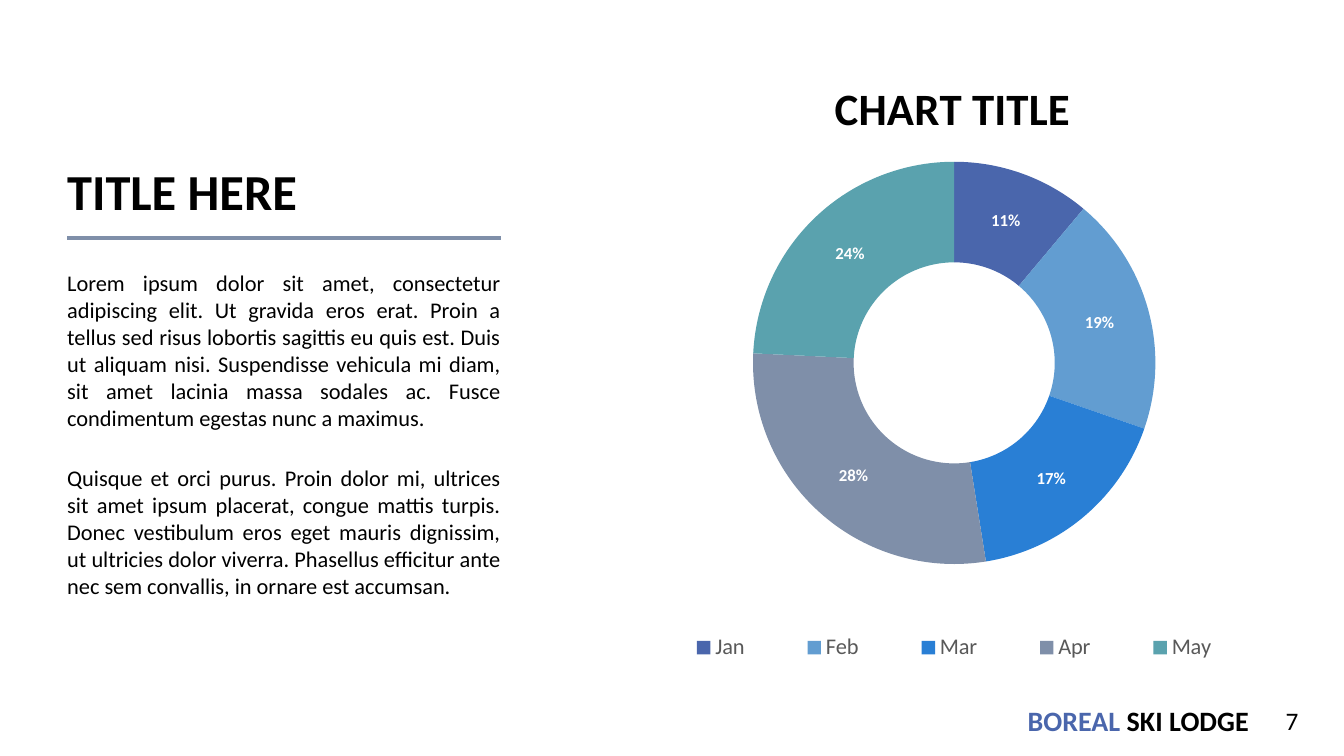
"""Build a slide with a heading, two paragraphs and a doughnut chart of months."""
from dataclasses import dataclass
from typing import Any

from lxml import etree
from pptx import Presentation
from pptx import util as u
from pptx.chart import data as cd
from pptx.dml import color as col
from pptx.enum import chart as ch
from pptx.enum import shapes as sh
from pptx.enum import text as tx
from pptx.oxml import ns

WIDE, HIGH = u.Inches(13.33), u.Inches(7.5)
COLS, ROWS = 80, 60


@dataclass(frozen=True)
class Theme:
    face: str = "Calibri"
    ink: str = "000000"
    pale: str = "FFFFFF"
    grey: str = "595959"
    blue: str = "4A66AC"
    slate: str = "7F8FA9"
    head: int = 36
    chart: int = 32
    brand: int = 20
    page: int = 18
    body: int = 16
    label: int = 12
    base: int = 10


@dataclass(frozen=True)
class Box:
    x: float
    y: float
    w: float
    h: float

    def span(self) -> tuple[int, int, int, int]:
        return (int(self.x * WIDE / COLS), int(self.y * HIGH / ROWS),
                int(self.w * WIDE / COLS), int(self.h * HIGH / ROWS))


@dataclass(frozen=True)
class Run:
    text: str
    size: int
    hue: str
    bold: bool = False


@dataclass(frozen=True)
class Block:
    box: Box
    lines: tuple[tuple[Run, ...], ...]
    frame: dict[str, Any]
    para: dict[str, Any]


@dataclass(frozen=True)
class Month:
    name: str
    share: int
    hue: str


T = Theme()
FLUSH = dict(margin_left=0, margin_right=0, word_wrap=True)
TIGHT = dict.fromkeys(
    ("margin_left", "margin_right", "margin_top", "margin_bottom"), u.Inches(0.02))

TITLE = Block(
    Box(4, 4, 25.8, 14), ((Run("TITLE HERE", T.head, T.ink, True),),),
    FLUSH | dict(vertical_anchor=tx.MSO_ANCHOR.BOTTOM, auto_size=tx.MSO_AUTO_SIZE.NONE),
    dict(alignment=tx.PP_ALIGN.LEFT, line_spacing=0.9))

PROSE = (
    "Lorem ipsum dolor sit amet, consectetur adipiscing elit. Ut gravida eros erat. "
    "Proin a tellus sed risus lobortis sagittis eu quis est. Duis ut aliquam nisi. "
    "Suspendisse vehicula mi diam, sit amet lacinia massa sodales ac. "
    "Fusce condimentum egestas nunc a maximus.",
    "Quisque et orci purus. Proin dolor mi, ultrices sit amet ipsum placerat, congue "
    "mattis turpis. Donec vestibulum eros eget mauris dignissim, ut ultricies dolor "
    "viverra. Phasellus efficitur ante nec sem convallis, in ornare est accumsan.",
)
BLOCKS = (
    Block(Box(59.46, 55.68, 15, 3.04),
          ((Run("BOREAL", T.brand, T.blue, True),
            Run(" SKI LODGE", T.brand, T.ink, True)),),
          TIGHT | dict(word_wrap=True, vertical_anchor=tx.MSO_ANCHOR.MIDDLE,
                       auto_size=tx.MSO_AUTO_SIZE.NONE),
          dict(alignment=tx.PP_ALIGN.RIGHT)),
    Block(Box(4, 21, 25.8, 32),
          tuple((Run(part, T.body, T.ink),) for part in PROSE), FLUSH,
          dict(alignment=tx.PP_ALIGN.JUSTIFY, space_before=u.Pt(24))),
    Block(Box(59.88, 55.6, 18, 3.2), ((Run("7", T.page, T.ink),),),
          dict(word_wrap=True), dict(alignment=tx.PP_ALIGN.RIGHT)),
)
RULE = Box(4, 18.88, 25.8, 0)
RING = Box(37.8, 4, 38, 49.12)
MONTHS = (
    Month("Jan", 11, T.blue),
    Month("Feb", 19, "629DD1"),
    Month("Mar", 17, "297FD5"),
    Month("Apr", 28, T.slate),
    Month("May", 24, "5AA2AE"),
)


def put(thing: Any, values: dict[str, Any]) -> None:
    for key, value in values.items():
        setattr(thing, key, value)


def style(font: Any, size: int, hue: str, bold: bool = False) -> None:
    put(font, dict(name=T.face, size=u.Pt(size), bold=bold))
    font.color.rgb = col.RGBColor.from_string(hue)


def write(shape: Any, block: Block) -> None:
    frame = shape.text_frame
    put(frame, block.frame)
    for spot, line in enumerate(block.lines):
        para = frame.add_paragraph() if spot else frame.paragraphs[0]
        put(para, block.para)
        for part in line:
            run = para.add_run()
            run.text = part.text
            style(run.font, part.size, part.hue, part.bold)


def rule(slide: Any, box: Box) -> None:
    x, y, w, h = box.span()
    line = slide.shapes.add_connector(sh.MSO_CONNECTOR.STRAIGHT, x, y, x + w, y + h)
    line.line.color.rgb = col.RGBColor.from_string(T.slate)
    line.line.width = u.Pt(3)
    etree.SubElement(line._element.spPr, ns.qn("a:effectLst"))


def place(node: Any, inner: bool = False, **shares: float) -> None:
    for old in node.findall(ns.qn("c:layout")):
        node.remove(old)
    frame = etree.Element(ns.qn("c:layout"))
    hand = etree.SubElement(frame, ns.qn("c:manualLayout"))
    values = {"layoutTarget": "inner"} if inner else {}
    values |= {"xMode": "edge", "yMode": "edge"}
    values |= {key: str(value) for key, value in shares.items()}
    for key, value in values.items():
        etree.SubElement(hand, ns.qn(f"c:{key}")).set("val", value)
    over = node.find(ns.qn("c:overlay"))
    if over is None:
        node.insert(0, frame)
    else:
        over.addprevious(frame)


def ring(slide: Any, box: Box, months: tuple[Month, ...]) -> None:
    data = cd.CategoryChartData()
    data.categories = [month.name for month in months]
    data.add_series("Series 1", [month.share for month in months])
    chart = slide.shapes.add_chart(ch.XL_CHART_TYPE.DOUGHNUT, *box.span(), data).chart
    style(chart.font, T.base, T.ink)

    chart.has_title = True
    run = chart.chart_title.text_frame.paragraphs[0].add_run()
    run.text = "CHART TITLE"
    style(run.font, T.chart, T.ink, True)
    place(chart.chart_title._element, x=0.3, y=0.03)

    chart.has_legend = True
    put(chart.legend, dict(position=ch.XL_LEGEND_POSITION.BOTTOM, include_in_layout=False))
    style(chart.legend.font, T.body, T.grey)
    place(chart.legend._element, x=0.01, y=0.93, w=0.98, h=0.07)

    plot = chart.plots[0]
    put(plot, dict(vary_by_categories=True, has_data_labels=True))
    put(plot.data_labels, dict(show_percentage=True, show_value=False,
                               number_format="0%", number_format_is_linked=False))
    style(plot.data_labels.font, T.label, T.pale, True)
    for spot, month in enumerate(months):
        form = plot.series[0].points[spot].format
        form.fill.solid()
        form.fill.fore_color.rgb = col.RGBColor.from_string(month.hue)
        form.line.fill.background()
    plot._element.find(ns.qn("c:holeSize")).set("val", "70")
    place(plot._element.getparent(), True, x=0.09, y=0.18, w=0.82, h=0.65)


def main() -> None:
    deck = Presentation()
    put(deck, dict(slide_width=WIDE, slide_height=HIGH))
    slide = deck.slides.add_slide(deck.slide_layouts[5])
    title = slide.shapes.title
    put(title, dict(zip(("left", "top", "width", "height"), TITLE.box.span())))
    write(title, TITLE)
    rule(slide, RULE)
    for block in BLOCKS:
        write(slide.shapes.add_textbox(*block.box.span()), block)
    ring(slide, RING, MONTHS)
    deck.save("out.pptx")


if __name__ == "__main__":
    main()
